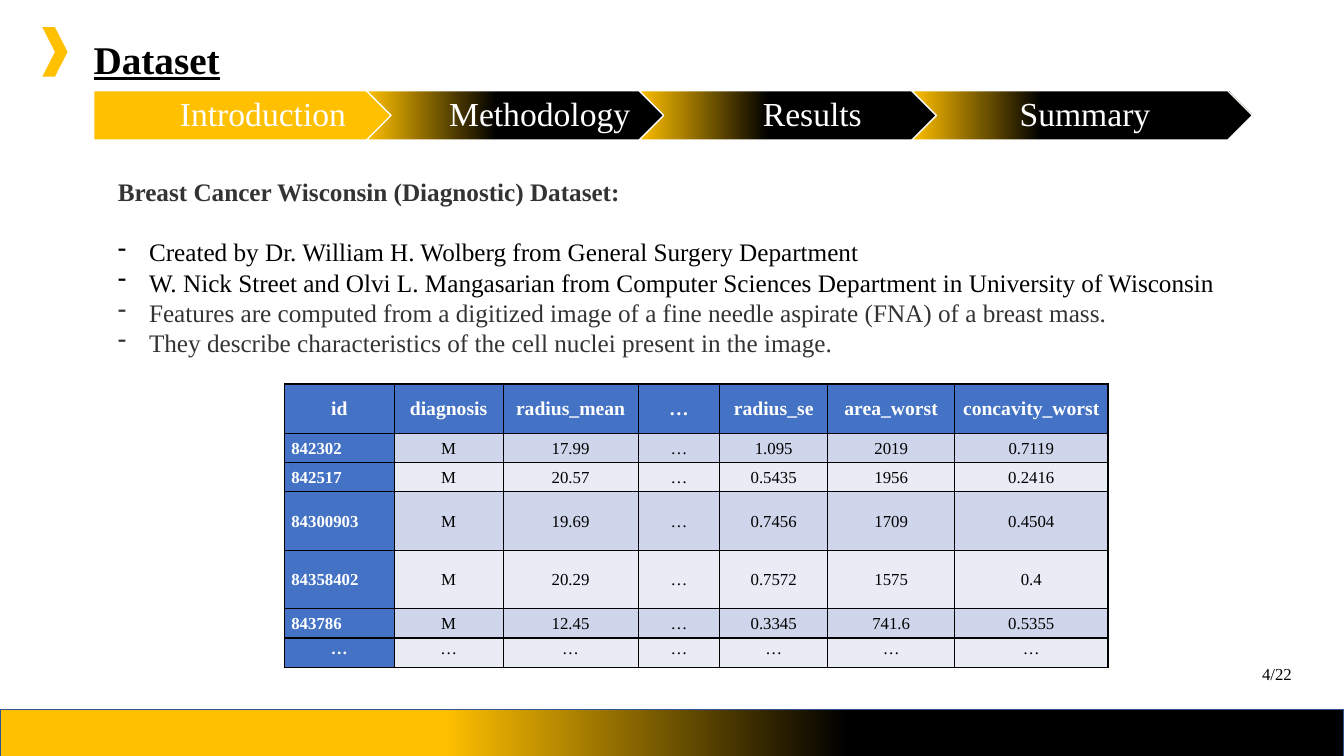
import pptx
import pptx.util
import pptx.dml.color
import pptx.enum.shapes
import pptx.enum.text
import pptx.oxml
import pptx.oxml.ns

Inches, Pt = pptx.util.Inches, pptx.util.Pt
SHAPE = pptx.enum.shapes.MSO_SHAPE
ANCHOR = pptx.enum.text.MSO_ANCHOR
ALIGN = pptx.enum.text.PP_ALIGN
NS = pptx.oxml.ns.nsdecls("a")

FONT = "Times New Roman"
GOLD, BLACK, WHITE, GREY, BLUE = "FFC000", "000000", "FFFFFF", "333333", "4472C4"
BANDS = ["CFD5EA", "E9EBF5"]
FOOTER_STOPS = [(0, GOLD), (33, GOLD), (63, BLACK), (100, BLACK)]
STEP_STOPS = [(0, GOLD), (38, BLACK), (83, BLACK)]

TITLE = "Dataset"
PAGE = "4/22"
STEPS = ["Introduction", "Methodology", "Results", "Summary"]
HEADING = "Breast Cancer Wisconsin (Diagnostic) Dataset:"
BULLETS = [
    ("Created by Dr. William H. Wolberg from General Surgery Department", BLACK),
    ("W. Nick Street and Olvi L. Mangasarian from Computer Sciences Department "
     "in University of Wisconsin", BLACK),
    ("Features are computed from a digitized image of a fine needle aspirate (FNA) "
     "of a breast mass.", GREY),
    ("They describe characteristics of the cell nuclei present in the image.", GREY),
]
ROWS = [
    ("id", "diagnosis", "radius_mean", "…", "radius_se", "area_worst", "concavity_worst"),
    ("842302", "M", "17.99", "…", "1.095", "2019", "0.7119"),
    ("842517", "M", "20.57", "…", "0.5435", "1956", "0.2416"),
    ("84300903", "M", "19.69", "…", "0.7456", "1709", "0.4504"),
    ("84358402", "M", "20.29", "…", "0.7572", "1575", "0.4"),
    ("843786", "M", "12.45", "…", "0.3345", "741.6", "0.5355"),
    ("…",) * 7,
]
COL_WIDTHS = [1.09, 1.08, 1.34, 0.81, 1.07, 1.26, 1.52]
ROW_HEIGHTS = [0.49, 0.29, 0.29, 0.58, 0.58, 0.29, 0.29]


def rgb(color):
    return pptx.dml.color.RGBColor.from_string(color)


def write(p, text, size, color, bold=False, align=None, spacing=None):
    p.text = text
    p.alignment = align
    p.line_spacing = spacing
    font = p.runs[0].font
    font.name, font.size, font.bold = FONT, Pt(size), bold
    font.color.rgb = rgb(color)


def add_shape(s, kind, box, fill, line=None):
    """Add a preset shape; fill is one colour or a list of gradient stops."""
    sp = s.shapes.add_shape(kind, *map(Inches, box))
    sp.shadow.inherit = False
    if isinstance(fill, str):
        sp.fill.solid()
        sp.fill.fore_color.rgb = rgb(fill)
    else:
        sp.fill.gradient()
        sp.fill.gradient_angle = 0
        stops = sp._element.spPr.find(".//" + pptx.oxml.ns.qn("a:gsLst"))
        for stop in list(stops):
            stops.remove(stop)
        for pos, color in fill:
            stops.append(pptx.oxml.parse_xml(
                f'<a:gs {NS} pos="{pos * 1000}"><a:srgbClr val="{color}"/></a:gs>'))
    if line:
        sp.line.color.rgb = rgb(line)
        sp.line.width = Pt(1)
    else:
        sp.line.fill.background()
    return sp


def add_text(s, box):
    tf = s.shapes.add_textbox(*map(Inches, box)).text_frame
    tf.word_wrap = True
    return tf


def add_dash(p):
    pPr = p._p.get_or_add_pPr()
    pPr.set("marL", str(Inches(0.31)))
    pPr.set("indent", str(Inches(-0.31)))
    pPr.append(pptx.oxml.parse_xml(f'<a:buChar {NS} char="-"/>'))


def style_cell(cell, fill):
    """Set margins, black borders and fill."""
    cell.margin_left = cell.margin_right = Inches(0.07)
    cell.margin_top = cell.margin_bottom = 0
    tcPr = cell._tc.get_or_add_tcPr()
    for side in ("lnL", "lnR", "lnT", "lnB"):
        tcPr.append(pptx.oxml.parse_xml(
            f'<a:{side} {NS} w="{Pt(1)}"><a:solidFill><a:srgbClr val="{BLACK}"/>'
            f'</a:solidFill></a:{side}>'))
    cell.fill.solid()
    cell.fill.fore_color.rgb = rgb(fill)


def add_steps(s):
    left, pitch = 0.93, 2.704
    for i, step in enumerate(STEPS):
        kind, fill = (SHAPE.CHEVRON, STEP_STOPS) if i else (SHAPE.PENTAGON, GOLD)
        sp = add_shape(s, kind, (left + i * pitch, 0.9, 3.38, 0.49), fill, WHITE)
        tf = sp.text_frame
        tf.vertical_anchor = ANCHOR.MIDDLE
        tf.margin_left = Inches(0.1 if i else 0.14)
        tf.margin_right = Inches(0.04)
        tf.margin_top = tf.margin_bottom = Inches(0.07)
        write(tf.paragraphs[0], step, 24, WHITE, align=ALIGN.CENTER, spacing=0.9)


def add_data_table(s):
    box = (2.82, 3.81, sum(COL_WIDTHS), sum(ROW_HEIGHTS))
    table = s.shapes.add_table(len(ROWS), len(COL_WIDTHS), *map(Inches, box)).table
    for column, width in zip(table.columns, COL_WIDTHS):
        column.width = Inches(width)
    last = len(ROWS) - 1
    for r, values in enumerate(ROWS):
        table.rows[r].height = Inches(ROW_HEIGHTS[r])
        for c, value in enumerate(values):
            cell = table.cell(r, c)
            header = r == 0 or c == 0
            style_cell(cell, BLUE if header else BANDS[(r - 1) % 2])
            cell.vertical_anchor = ANCHOR.TOP if r == last else ANCHOR.MIDDLE
            is_id = c == 0 and 0 < r < last
            write(cell.text_frame.paragraphs[0], value, 12 if r else 14,
                  WHITE if header else BLACK, header,
                  ALIGN.LEFT if is_id else ALIGN.CENTER, 1.06)


def main():
    prs = pptx.Presentation()
    prs.slide_width, prs.slide_height = Inches(13.33), Inches(7.5)
    s = prs.slides.add_slide(prs.slide_layouts[6])

    add_shape(s, SHAPE.RECTANGLE, (0, 7.04, 13.33, 0.49), FOOTER_STOPS, "325491")
    add_shape(s, SHAPE.CHEVRON, (0.42, 0.27, 0.25, 0.49), GOLD)
    add_steps(s)

    tf = add_text(s, (11.97, 6.4, 1.39, 0.56))
    tf.vertical_anchor = ANCHOR.MIDDLE
    write(tf.paragraphs[0], PAGE, 12, BLACK, align=ALIGN.CENTER)

    p = add_text(s, (0.83, 0.27, 6.33, 0.57)).paragraphs[0]
    write(p, TITLE, 28, BLACK, bold=True, spacing=1.06)
    p.space_before = Pt(12)
    p.runs[0].font.underline = True

    tf = add_text(s, (1.07, 1.7, 11.66, 1.92))
    write(tf.paragraphs[0], HEADING, 18, GREY, bold=True)
    tf.paragraphs[0].space_after = Pt(21.5)
    for text, color in BULLETS:
        p = tf.add_paragraph()
        write(p, text, 18, color)
        add_dash(p)

    add_data_table(s)
    prs.save("out.pptx")


if __name__ == "__main__":
    main()
